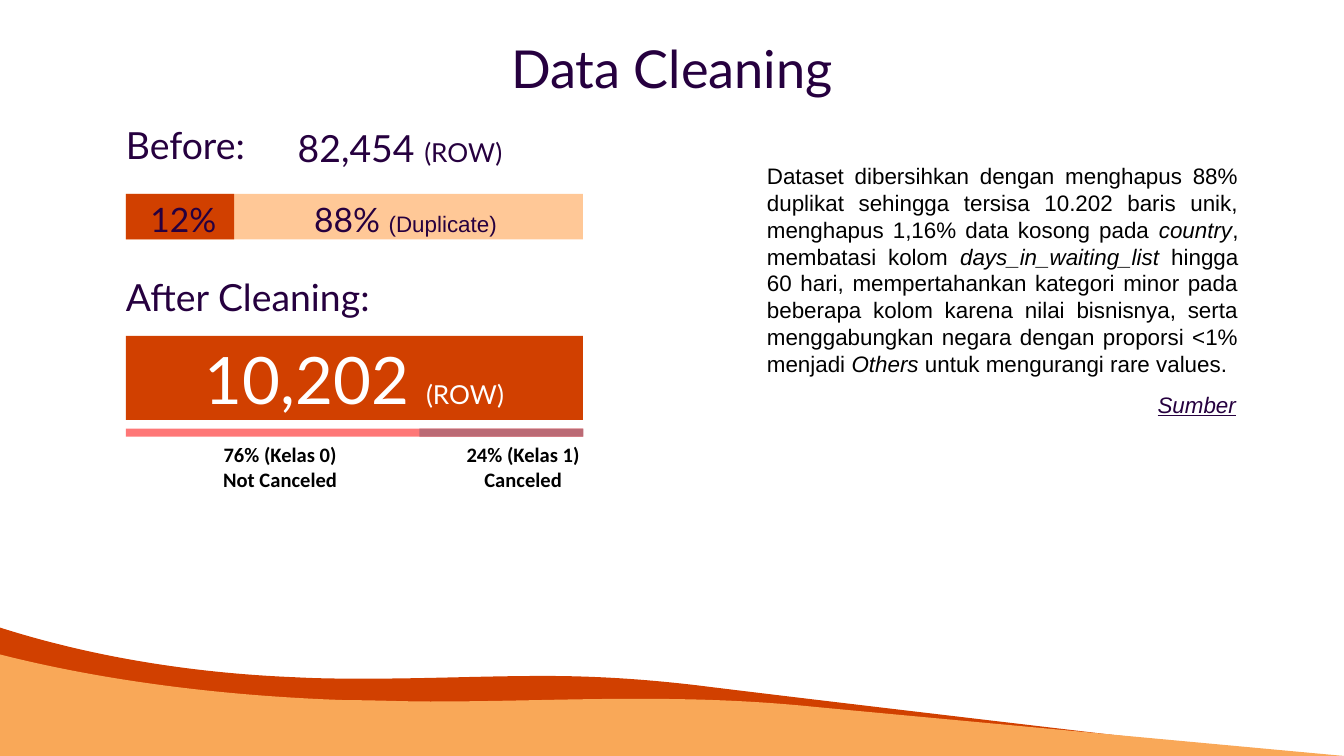
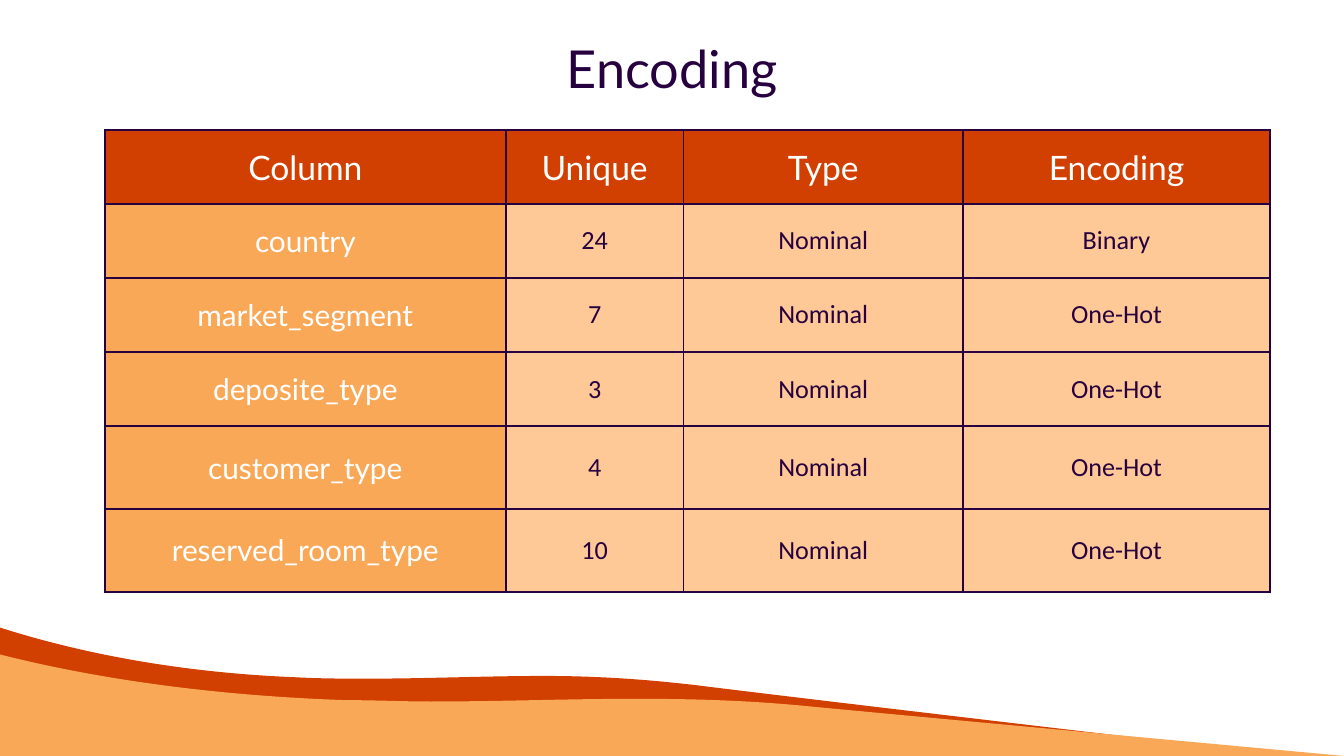
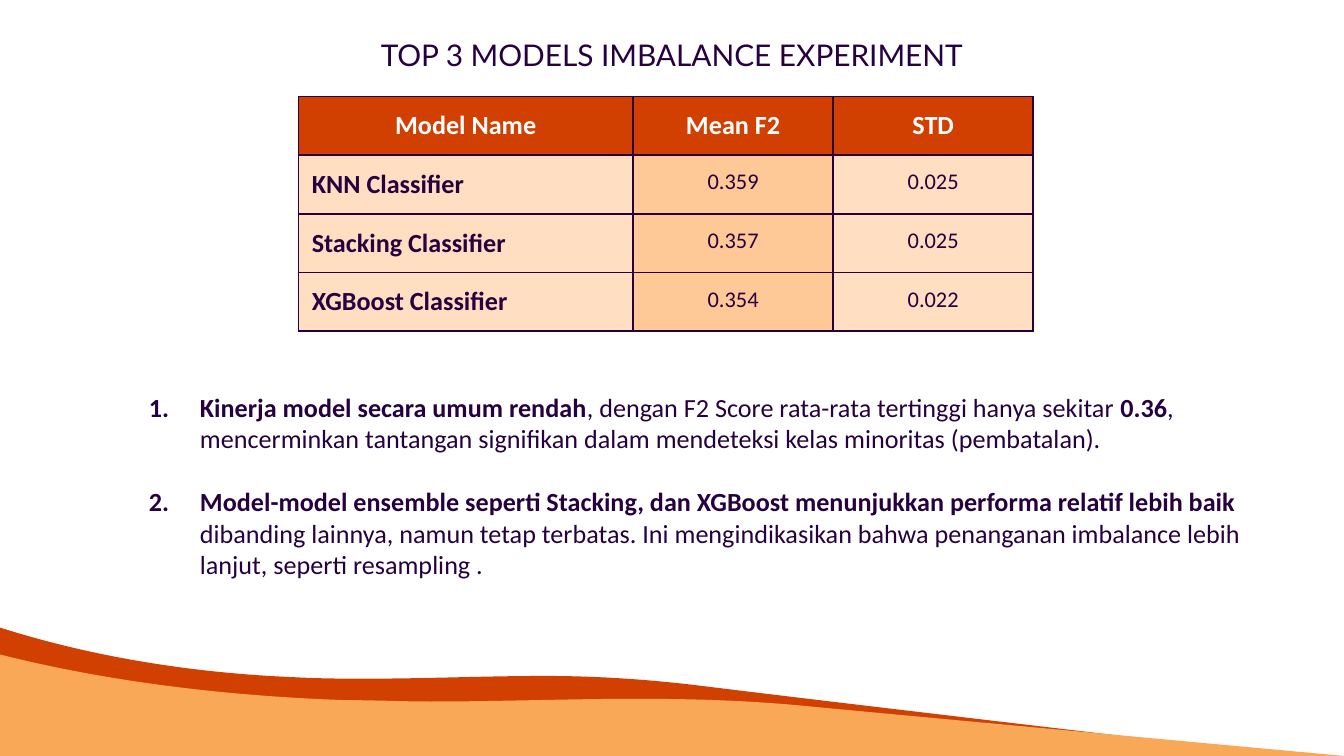
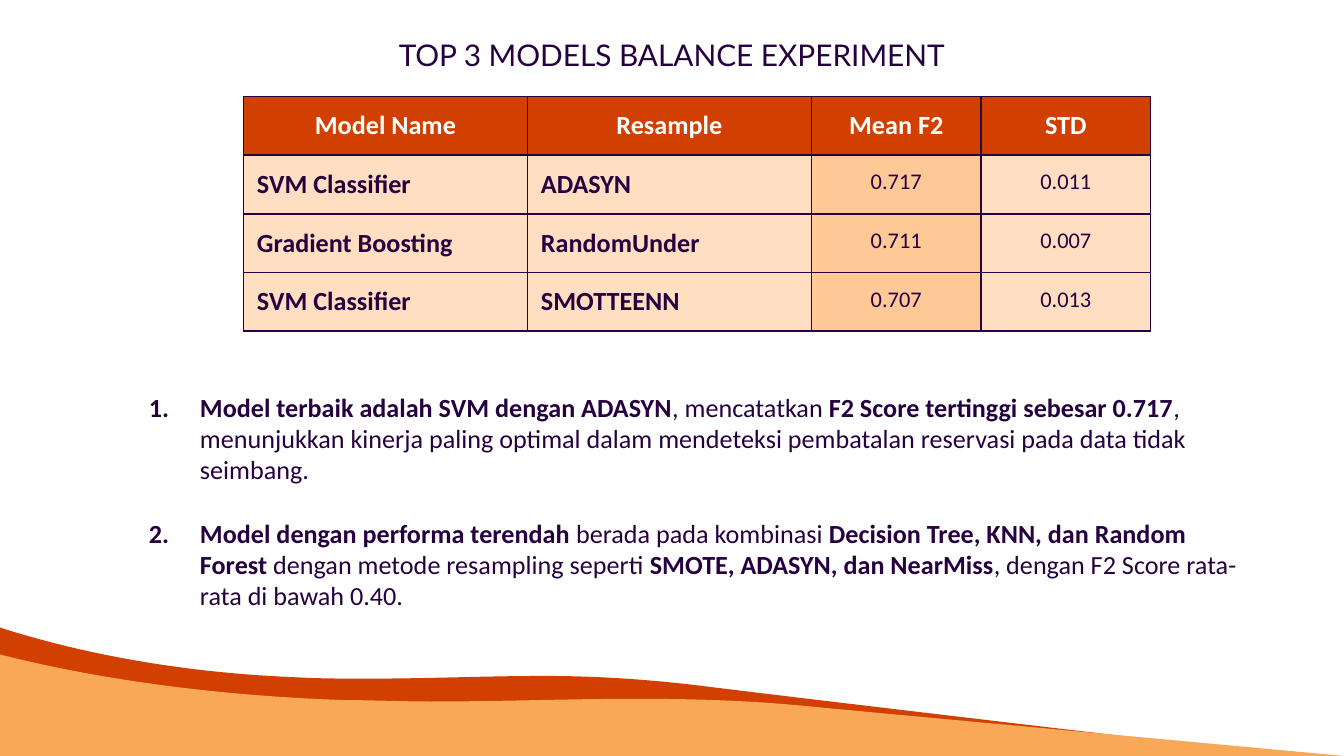
"""Build four slides on data cleaning, encoding and model experiments."""
from lxml import etree
from pptx import Presentation
from pptx.dml.color import RGBColor
from pptx.enum.shapes import MSO_SHAPE
from pptx.enum.text import MSO_ANCHOR, MSO_AUTO_SIZE, PP_ALIGN
from pptx.oxml.ns import qn
from pptx.util import Inches, Pt

RECTANGLE = MSO_SHAPE.RECTANGLE
TOP, MIDDLE, BOTTOM = MSO_ANCHOR.TOP, MSO_ANCHOR.MIDDLE, MSO_ANCHOR.BOTTOM
LEFT, CENTER, JUSTIFY = PP_ALIGN.LEFT, PP_ALIGN.CENTER, PP_ALIGN.JUSTIFY
NO_FIT = MSO_AUTO_SIZE.NONE

INK, BLACK, WHITE = "26003F", "000000", "FFFFFF"
RUST, ORANGE, PEACH, CREAM = "D14000", "F9A858", "FFC897", "FFDEC1"
CORAL, MAUVE = "FE7777", "BB6A75"
UNIT = Inches(0.1)
PADDING = UNIT
BOLD, ITALIC = {"bold": True}, {"italic": True}


def paint(fill, color):
    """Give a shape, cell or font one solid colour."""
    fill.solid()
    fill.fore_color.rgb = RGBColor.from_string(color)


def write(frame, lines, size, face="Lato", color=INK, align=LEFT, anchor=TOP,
          padding=0, spacing=None):
    """Fill a text frame with lines, each a list of (text, font overrides)."""
    frame.word_wrap = True
    frame.auto_size = NO_FIT
    frame.vertical_anchor = anchor
    frame.margin_left = frame.margin_right = padding
    frame.margin_top = frame.margin_bottom = padding
    for number, line in enumerate(lines):
        paragraph = frame.add_paragraph() if number else frame.paragraphs[0]
        paragraph.alignment = align
        paragraph.line_spacing = spacing
        for text, overrides in line:
            run = paragraph.add_run()
            run.text = text
            run.font.size, run.font.name = Pt(size), face
            paint(run.font.fill, color)
            for attribute, value in overrides.items():
                setattr(run.font, attribute, value)


deck = Presentation()
deck.slide_width, deck.slide_height = 100 * UNIT, Inches(5.625)
title_only = deck.slide_layouts[5]

headings = [("Data Cleaning", 28, 6.3), ("Encoding", 28, 6.3),
            ("TOP 3 MODELS IMBALANCE EXPERIMENT", 16, 4.1),
            ("TOP 3 MODELS BALANCE EXPERIMENT", 16, 4.1)]
for heading, size, height in headings:
    title = deck.slides.add_slide(title_only).shapes.title
    title.left, title.top = int(7.8 * UNIT), int(1.7 * UNIT)
    title.width, title.height = int(84.4 * UNIT), int(height * UNIT)
    write(title.text_frame, [[(heading, {})]], size, align=CENTER, padding=PADDING)
cleaning, *table_slides = deck.slides

# Each wave is a chain of cubic curves closed along its bottom edge.
waves = [
    (RUST, [(0, 46.7), (4.7, 48.2), (12.1, 50), (22, 50.4), (23.9, 50.5), (25.6, 50.5),
            (27.3, 50.5), (31.9, 50.5), (36.1, 50.3), (40.5, 50.3), (44, 50.3),
            (47.7, 50.5), (51.9, 51), (59.9, 52), (85.5, 55), (85.5, 55)]),
    (ORANGE, [(0, 48.7), (5.5, 50.1), (14.1, 51.7), (25.7, 52.1), (27.9, 52.1), (30, 52.2),
              (32, 52.2), (37.3, 52.2), (42.2, 52), (47.3, 52), (51.4, 52),
              (55.7, 52.1), (60.6, 52.6), (70.1, 53.5), (100, 56.25), (100, 56.25)]),
]
for wave_id, (color, knots) in enumerate(waves, 20):
    start, *outline = [(int(x * UNIT), int(y * UNIT)) for x, y in knots]
    builder = cleaning.shapes.build_freeform(*start)
    builder.add_line_segments(outline + [(0, outline[-1][1])], close=True)
    wave = builder.convert_to_shape()
    wave.shadow.inherit = False
    paint(wave.fill, color)
    wave.line.fill.background()
    segments = list(wave.element.iter(qn("a:lnTo")))[:len(outline)]
    for first in range(0, len(segments), 3):
        curve = etree.Element(qn("a:cubicBezTo"))
        segments[first].addprevious(curve)
        for segment in segments[first:first + 3]:
            curve.append(segment[0])
            segment.getparent().remove(segment)
    wave.element.nvSpPr.cNvPr.set("id", str(wave_id))
    title_only.shapes.element.append(wave.element)

bar_left, bar_width = 9.37, 34
bars = [
    (bar_left, 25, bar_width, 6.25, RUST),
    (bar_left, 14.42, bar_width, 3.4, PEACH),
    (bar_left, 14.42, 8.05, 3.4, RUST),
    (bar_left, 31.9, bar_width, 0.6, CORAL),
    (31.2, 31.9, 12.2, 0.6, MAUVE),
]
for *area, color in bars:
    bar = cleaning.shapes.add_shape(RECTANGLE, *(int(value * UNIT) for value in area))
    bar.shadow.inherit = False
    paint(bar.fill, color)
    bar.line.fill.background()
    if color == RUST and area[2] == bar_width:
        write(bar.text_frame, [[("10,202 ", {}), ("(ROW)", {"size": Pt(14)})]], 35,
              color=WHITE, align=CENTER, anchor=MIDDLE)

centered = {"align": CENTER, "anchor": MIDDLE}
class_label = {"size": 11, "face": "Calibri", "color": BLACK, **centered}
note = {"size": 12, "face": "Arial", "align": JUSTIFY, "padding": PADDING,
        "spacing": Pt(14.35)}
labels = [
    ((bar_left, 8.7, 14.4, 3.7), [[("Before:", {})]], {"size": 20, "anchor": BOTTOM}),
    ((22.15, 8.6, 21.8, 4.7), [[("82,454 ", {}), ("(ROW)", {"size": Pt(14)})]],
     {"size": 20, "anchor": MIDDLE}),
    ((18.3, 13.95, 24.4, 4.7),
     [[("88% ", {}), ("(Duplicate)", {"size": Pt(12), "name": "Arial"}), (" ", {})]],
     {"size": 18, **centered}),
    ((6.45, 13.95, 14.4, 4.7), [[("12%", {})]], {"size": 18, **centered}),
    ((bar_left, 20, 23, 3.7), [[("After Cleaning:", {})]], {"size": 20, "anchor": BOTTOM}),
    ((15.85, 33.2, 10, 3.1), [[("76% (Kelas 0)", BOLD)], [("Not Canceled", BOLD)]], class_label),
    ((33.93, 33.2, 10, 3.1), [[("24% (Kelas 1)", BOLD)], [("Canceled", BOLD)]], class_label),
    ((56.08, 11.1, 37.05, 10.5), [[
        ("Dataset dibersihkan dengan menghapus 88% duplikat sehingga tersisa 10.202 baris "
         "unik, menghapus 1,16% data kosong pada ", {}),
        ("country", ITALIC), (", membatasi kolom ", {}), ("days_in_waiting_list ", ITALIC),
        ("hingga 60 hari, mempertahankan kategori minor pada beberapa kolom karena nilai "
         "bisnisnya, serta menggabungkan negara dengan proporsi <1% menjadi ", {}),
        ("Others", ITALIC), (" untuk mengurangi rare values.", {})]],
     {"color": BLACK, **note}),
    ((85.15, 28.1, 8, 3.4), [[("Sumber", {"italic": True, "underline": True})]], note),
]
for area, lines, style in labels:
    label = cleaning.shapes.add_textbox(*(int(value * UNIT) for value in area))
    write(label.text_frame, lines, **style)

# A cell style is fill, size, typeface, colour, bold, alignment, anchor.
encoding_head = (RUST, 18, "Lato", WHITE, False, CENTER, MIDDLE)
encoding_name = (ORANGE, 16, "Lato", WHITE, False, CENTER, MIDDLE)
encoding_value = (PEACH, 14, "Calibri", INK, False, CENTER, MIDDLE)
model_head = (RUST, 14, "Calibri", WHITE, True, CENTER, MIDDLE)
model_name = (CREAM, 14, "Calibri", INK, True, LEFT, TOP)
mean_value = (PEACH, 12, "Calibri", INK, False, CENTER, TOP)
std_value = (CREAM, 12, "Calibri", INK, False, CENTER, TOP)

tables = [
    ((7.8, 9.67), (29.85, 13.2, 20.83, 22.82), (5.51,) * 4 + (6.17,) * 2,
     encoding_head, (encoding_name,) + (encoding_value,) * 3,
     [("Column", "Unique", "Type", "Encoding"),
      ("country", "24", "Nominal", "Binary"),
      ("market_segment", "7", "Nominal", "One-Hot"),
      ("deposite_type", "3", "Nominal", "One-Hot"),
      ("customer_type", "4", "Nominal", "One-Hot"),
      ("reserved_room_type", "10", "Nominal", "One-Hot")]),
    ((22.2, 7.17), (24.9, 14.9, 14.88), (4.35,) * 4,
     model_head, (model_name, mean_value, std_value),
     [("Model Name", "Mean F2", "STD"),
      ("KNN Classifier", "0.359", "0.025"),
      ("Stacking Classifier", "0.357", "0.025"),
      ("XGBoost Classifier", "0.354", "0.022")]),
    ((18.12, 7.17), (21.13, 21.13, 12.62, 12.62), (4.35,) * 4,
     model_head, (model_name, model_name, mean_value, std_value),
     [("Model Name", "Resample", "Mean F2", "STD"),
      ("SVM Classifier", "ADASYN", "0.717", "0.011"),
      ("Gradient Boosting", "RandomUnder", "0.711", "0.007"),
      ("SVM Classifier", "SMOTTEENN", "0.707", "0.013")]),
]
for slide, (corner, widths, heights, head, body, rows) in zip(table_slides, tables):
    area = (*corner, sum(widths), sum(heights))
    table = slide.shapes.add_table(len(rows), len(widths),
                                   *(int(value * UNIT) for value in area)).table
    table.horz_banding = False
    for column, width in zip(table.columns, widths):
        column.width = int(width * UNIT)
    for row, height in zip(table.rows, heights):
        row.height = int(height * UNIT)
    for r, texts in enumerate(rows):
        for c, text in enumerate(texts):
            fill, size, face, color, bold, align, anchor = body[c] if r else head
            cell = table.cell(r, c)
            cell.margin_left = cell.margin_right = PADDING
            cell.margin_top = cell.margin_bottom = PADDING
            cell.vertical_anchor = anchor
            cell.text = text
            paragraph = cell.text_frame.paragraphs[0]
            paragraph.alignment = align
            font = paragraph.runs[0].font
            font.size, font.name, font.bold = Pt(size), face, bold
            paint(font.fill, color)
            properties = cell._tc.get_or_add_tcPr()
            for side in ("a:lnL", "a:lnR", "a:lnT", "a:lnB"):
                border = etree.SubElement(properties, qn(side), w=str(Pt(1)))
                stroke = etree.SubElement(border, qn("a:solidFill"))
                etree.SubElement(stroke, qn("a:srgbClr"), val=INK)
            paint(cell.fill, fill)

findings = [
    [[("Kinerja model secara umum rendah", BOLD),
      (", dengan F2 Score rata-rata tertinggi hanya sekitar ", {}), ("0.36", BOLD),
      (", mencerminkan tantangan signifikan dalam mendeteksi kelas minoritas (pembatalan).", {})],
     [("Model-model ensemble seperti Stacking, dan XGBoost menunjukkan performa relatif "
       "lebih baik ", BOLD),
      ("dibanding lainnya, namun tetap terbatas. Ini mengindikasikan bahwa penanganan "
       "imbalance lebih lanjut, seperti resampling .", {})]],
    [[("Model terbaik adalah SVM dengan ADASYN", BOLD), (", mencatatkan ", {}),
      ("F2 Score tertinggi sebesar 0.717", BOLD),
      (", menunjukkan kinerja paling optimal dalam mendeteksi pembatalan reservasi pada "
       "data tidak seimbang.", {})],
     [("Model dengan performa terendah ", BOLD), ("berada pada kombinasi ", {}),
      ("Decision Tree, KNN, dan Random Forest ", BOLD),
      ("dengan metode resampling seperti ", {}), ("SMOTE, ADASYN, dan NearMiss", BOLD),
      (", dengan F2 Score rata-rata di bawah 0.40.", {})]],
]
for slide, points in zip(table_slides[1:], findings):
    area = (8.6, 28.1, 85.3, 6.3)
    frame = slide.shapes.add_textbox(*(int(value * UNIT) for value in area)).text_frame
    write(frame, points, 14, "Calibri", padding=PADDING)
    frame.paragraphs[1].space_before = Pt(17)
    for paragraph in frame.paragraphs:
        properties = paragraph._p.get_or_add_pPr()
        properties.set("marL", str(Inches(0.53)))
        properties.set("indent", str(-Inches(0.38)))
        number_color = etree.SubElement(properties, qn("a:buClr"))
        etree.SubElement(number_color, qn("a:srgbClr"), val=INK)
        etree.SubElement(properties, qn("a:buFont"), typeface="Calibri")
        etree.SubElement(properties, qn("a:buAutoNum"), type="arabicPeriod")

deck.save("out.pptx")
